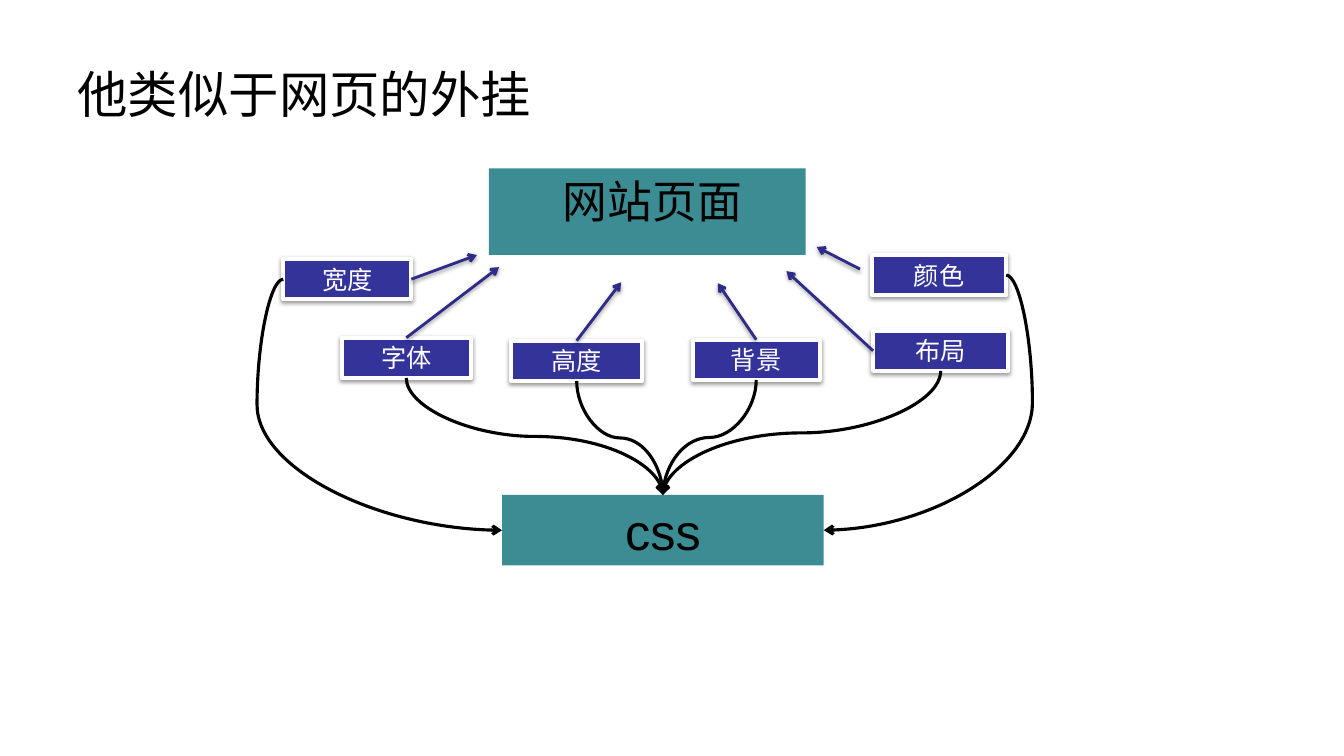
from lxml.etree import SubElement
from pptx import Presentation
from pptx.dml.color import RGBColor
from pptx.enum.shapes import MSO_CONNECTOR as LINK, MSO_SHAPE as SHAPE
from pptx.enum.text import MSO_ANCHOR as ANCHOR, PP_ALIGN as ALIGN
from pptx.oxml.ns import qn
from pptx.util import Inches, Pt

TEAL, NAVY, INDIGO, WHITE, BLACK = "3C8C93", "333399", "2D2D89", "FFFFFF", "000000"
TITLE = "他类似于网页的外挂"
PAGE = (" 网站页面", 4.85, 1.67, 3.14, 0.86)
CSS = ("css", 4.98, 4.91, 3.19, 0.7)
TAG_HEIGHT = 0.4
BULGE = 0.26
PROPERTIES = [
    # text, left, top, width, arrow start, arrow tip, css side
]
PROPERTIES = [
    ("布局", 8.66, 3.28, 1.34, "left", (7.8, 2.69), "top"),
    ("颜色", 8.65, 2.53, 1.33, (8.53, 2.67), (8.1, 2.45), "right"),
    ("宽度", 2.81, 2.57, 1.27, "right", (4.73, 2.53), "left"),
    ("字体", 3.39, 3.35, 1.28, "top", (4.95, 2.65), "top"),
    ("背景", 6.87, 3.37, 1.26, "top", (7.12, 2.81), "top"),
    ("高度", 5.07, 3.38, 1.3, "top", (6.16, 2.8), "top"),
]


def color(code):
    return RGBColor.from_string(code)


def add_effects(part, shadowed):
    props = part._element.spPr
    for old in props.findall(qn("a:effectLst")):
        props.remove(old)
    effects = SubElement(props, qn("a:effectLst"))
    if shadowed:
        shadow = SubElement(effects, qn("a:outerShdw"), blurRad=str(Pt(3.1)),
                            dist=str(Pt(1.6)), dir="5400000", rotWithShape="0")
        tint = SubElement(shadow, qn("a:srgbClr"), val=BLACK)
        SubElement(tint, qn("a:alpha"), val="38000")


def write(part, text, size, ink, align=ALIGN.CENTER, anchor=ANCHOR.MIDDLE, inset=0.05):
    frame = part.text_frame
    frame.word_wrap = True
    frame.vertical_anchor = anchor
    frame.margin_top = frame.margin_bottom = Inches(inset)
    paragraph = frame.paragraphs[0]
    paragraph.alignment = align
    run = paragraph.add_run()
    run.text = text
    run.font.size, run.font.name = Pt(size), "Arial"
    run.font.color.rgb = color(ink)


def add_box(left, top, width, height, fill, outlined=False):
    box = slide.shapes.add_shape(SHAPE.RECTANGLE, *map(Inches, (left, top, width, height)))
    box.fill.solid()
    box.fill.fore_color.rgb = color(fill)
    if outlined:
        box.line.color.rgb = color(WHITE)
        box.line.width = Pt(3)
    else:
        box.line.fill.background()
    add_effects(box, outlined)
    return box


def add_arrow(kind, start, end, ink, width, shadowed=False):
    arrow = slide.shapes.add_connector(kind, *map(Inches, start + end))
    arrow.line.color.rgb = color(ink)
    arrow.line.width = Pt(width)
    SubElement(arrow.line._get_or_add_ln(), qn("a:tailEnd"), type="arrow")
    add_effects(arrow, shadowed)
    return arrow


def bend(arrow, share):
    guides = arrow._element.spPr.find(qn("a:prstGeom")).get_or_add_avLst()
    SubElement(guides, qn("a:gd"), name="adj1", fmla=f"val {round(share * 100000)}")


def turn_down(arrow, start, end):
    across, down = abs(end[0] - start[0]), end[1] - start[1]
    arrow.left = Inches((start[0] + end[0] - down) / 2)
    arrow.top = Inches((start[1] + end[1] - across) / 2)
    arrow.width, arrow.height = Inches(down), Inches(across)
    frame = arrow._element.spPr.find(qn("a:xfrm"))
    frame.attrib.pop("flipH", None)
    frame.set("rot", "5400000")
    if end[0] > start[0]:
        frame.set("flipV", "1")


def sides(left, top, width, height):
    middle, center = top + height / 2, left + width / 2
    return {"left": (left, middle), "right": (left + width, middle),
            "top": (center, top), "bottom": (center, top + height)}


deck = Presentation()
deck.slide_width, deck.slide_height = Inches(13.33), Inches(7.5)
slide = deck.slides.add_slide(deck.slide_layouts[6])

title = slide.shapes.add_textbox(*map(Inches, (0.67, 0.3, 12, 1.25)))
write(title, TITLE, 36, BLACK, ALIGN.LEFT)

for (text, *place), size in ((PAGE, 32), (CSS, 36)):
    write(add_box(*place, TEAL), text, size, BLACK, anchor=ANCHOR.TOP)

css_sides = sides(*CSS[1:])
for text, left, top, width, origin, tip, css_side in PROPERTIES:
    place = (left, top, width, TAG_HEIGHT)
    write(add_box(*place, NAVY, outlined=True), text, 18, WHITE, inset=0)
    tag_sides = sides(*place)
    add_arrow(LINK.STRAIGHT, tag_sides.get(origin, origin), tip, INDIGO, 2, shadowed=True)

    start = tag_sides["bottom" if css_side == "top" else css_side]
    end = css_sides[css_side]
    curve = add_arrow(LINK.CURVE, start, end, BLACK, 2.25)
    if css_side == "top":
        turn_down(curve, start, end)
        bend(curve, 0.5)
    else:
        bend(curve, -BULGE / abs(end[0] - start[0]))

deck.save("out.pptx")
